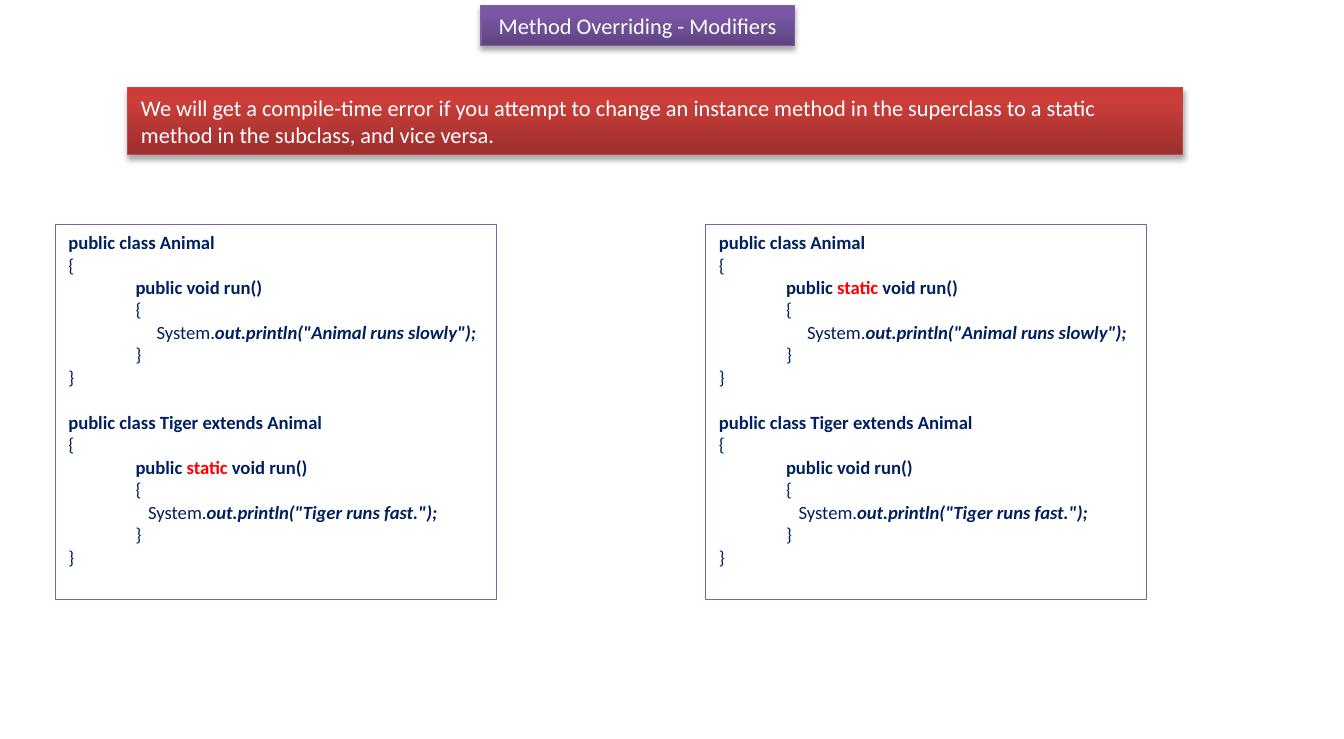
from copy import deepcopy

from lxml import etree
from pptx import Presentation
from pptx.dml.color import RGBColor
from pptx.enum.shapes import MSO_SHAPE
from pptx.enum.text import MSO_ANCHOR, MSO_AUTO_SIZE, PP_ALIGN
from pptx.oxml.ns import qn
from pptx.util import Inches, Pt

RECTANGLE = MSO_SHAPE.RECTANGLE
LEFT, CENTER = PP_ALIGN.LEFT, PP_ALIGN.CENTER
TOP, MIDDLE = MSO_ANCHOR.TOP, MSO_ANCHOR.MIDDLE
NO_AUTOFIT = MSO_AUTO_SIZE.NONE

WHITE = RGBColor(0xFF, 0xFF, 0xFF)
NAVY = RGBColor(0x00, 0x20, 0x60)
RED = RGBColor(0xFF, 0x00, 0x00)
PURPLE = RGBColor(0x80, 0x64, 0xA2)
TITLE_LINE = RGBColor(0x7D, 0x60, 0xA0)
RULE_LINE = RGBColor(0xBF, 0x4C, 0x48)
TITLE_GRADIENT = (
    RGBColor(0x5F, 0x44, 0x80), RGBColor(0x7B, 0x58, 0xA6), RGBColor(0x7C, 0x57, 0xA8))
RULE_GRADIENT = (
    RGBColor(0x9C, 0x2F, 0x2D), RGBColor(0xCB, 0x3E, 0x3A), RGBColor(0xCE, 0x3B, 0x37))
GRADIENT_POSITIONS = (0, 0.8, 1)


def add_text(paragraph, text, size=10, color=NAVY, bold=False, italic=False):
    run = paragraph.add_run()
    run.text = text
    font = run.font
    font.name = "Calibri"
    font.size = Pt(size)
    font.color.rgb = color
    font.bold = bold
    font.italic = italic


def fill_gradient(shape, colors):
    """Fill from bottom to top with three colours."""
    fill = shape.fill
    fill.gradient()
    fill.gradient_angle = 90
    stop_list = shape.element.spPr.find(".//" + qn("a:gsLst"))
    stop_list.insert(1, deepcopy(stop_list[0]))
    for stop, position, color in zip(fill.gradient_stops, GRADIENT_POSITIONS, colors):
        stop.position = position
        stop.color.rgb = color


def add_shadow(shape):
    effects = shape.element.spPr.find(qn("a:effectLst"))
    shadow = etree.SubElement(
        effects, qn("a:outerShdw"), blurRad=str(Pt(3.1)), dist=str(Pt(1.8)),
        dir="5400000", rotWithShape="0")
    color = etree.SubElement(shadow, qn("a:srgbClr"), val="000000")
    etree.SubElement(color, qn("a:alpha"), val="35000")


def class_lines(header, modifier, spaces, message):
    """Return (indented, runs) for each line of a Java class; a run is (text, format)."""
    bold = {"bold": True}
    method = [("public ", bold)]
    if modifier:
        method.append((modifier + " ", {"bold": True, "color": RED}))
    method.append(("void run()", bold))
    call = [(" " * spaces + "System.", {}),
            (f'out.println("{message}");', {"bold": True, "italic": True})]
    opening, closing = [("{", {})], [("}", {})]
    return [(False, [(header, bold)]), (False, opening), (True, method), (True, opening),
            (True, call), (True, closing), (False, closing)]


class SlideBuilder:
    def __init__(self, slide):
        self.slide = slide

    def format_box(self, shape, line_color, line_width, anchor):
        shape.shadow.inherit = False
        shape.line.color.rgb = line_color
        shape.line.width = Pt(line_width)
        frame = shape.text_frame
        frame.word_wrap = True
        frame.auto_size = NO_AUTOFIT
        frame.vertical_anchor = anchor
        frame.margin_left = frame.margin_right = Inches(0.1)
        frame.margin_top = frame.margin_bottom = Inches(0.05)

    def add_rectangle(self, left, top, width, height):
        return self.slide.shapes.add_shape(
            RECTANGLE, Inches(left), Inches(top), Inches(width), Inches(height))

    def format_banner(self, shape, text, colors, line_color, alignment):
        self.format_box(shape, line_color, 0.75, MIDDLE)
        fill_gradient(shape, colors)
        add_shadow(shape)
        paragraph = shape.text_frame.paragraphs[0]
        paragraph.alignment = alignment
        add_text(paragraph, text, size=12, color=WHITE)

    def title(self, text, left, top, width, height):
        shape = self.slide.shapes.title
        shape.left, shape.top = Inches(left), Inches(top)
        shape.width, shape.height = Inches(width), Inches(height)
        self.format_banner(shape, text, TITLE_GRADIENT, TITLE_LINE, CENTER)

    def rule(self, text, left, top, width, height):
        shape = self.add_rectangle(left, top, width, height)
        self.format_banner(shape, text, RULE_GRADIENT, RULE_LINE, LEFT)

    def code(self, classes, left, top, width, height):
        shape = self.add_rectangle(left, top, width, height)
        self.format_box(shape, PURPLE, 0.25, TOP)
        shape.fill.solid()
        shape.fill.fore_color.rgb = WHITE
        frame = shape.text_frame
        paragraph = frame.paragraphs[0]
        for class_index, lines in enumerate(classes):
            for line_index, (indented, runs) in enumerate(lines):
                if class_index or line_index:
                    paragraph = frame.add_paragraph()
                paragraph.alignment = LEFT
                if class_index and line_index == 0:
                    paragraph.space_before = Pt(12.2)
                if indented:
                    paragraph.level = 1
                    properties = paragraph._p.get_or_add_pPr()
                    properties.set("marL", str(Inches(0.5)))
                    properties.set("indent", "0")
                for text, text_format in runs:
                    add_text(paragraph, text, **text_format)


def main():
    presentation = Presentation()
    presentation.slide_width = Inches(10)
    presentation.slide_height = Inches(5.5)
    slide = presentation.slides.add_slide(presentation.slide_layouts.get_by_name("Title Only"))
    builder = SlideBuilder(slide)

    builder.title("Method Overriding - Modifiers", 3.58, 0.04, 2.33, 0.3)
    builder.rule(
        "We will get a compile-time error if you attempt to change an instance method in the "
        "superclass to a static method in the subclass, and vice versa.",
        0.95, 0.65, 7.85, 0.5)
    for left, animal_modifier, tiger_modifier in ((0.41, "", "static"), (5.25, "static", "")):
        classes = (
            class_lines("public class Animal", animal_modifier, 5, "Animal runs slowly"),
            class_lines("public class Tiger extends Animal", tiger_modifier, 3,
                        "Tiger runs fast."))
        builder.code(classes, left, 1.67, 3.28, 2.79)

    presentation.save("out.pptx")


if __name__ == "__main__":
    main()
